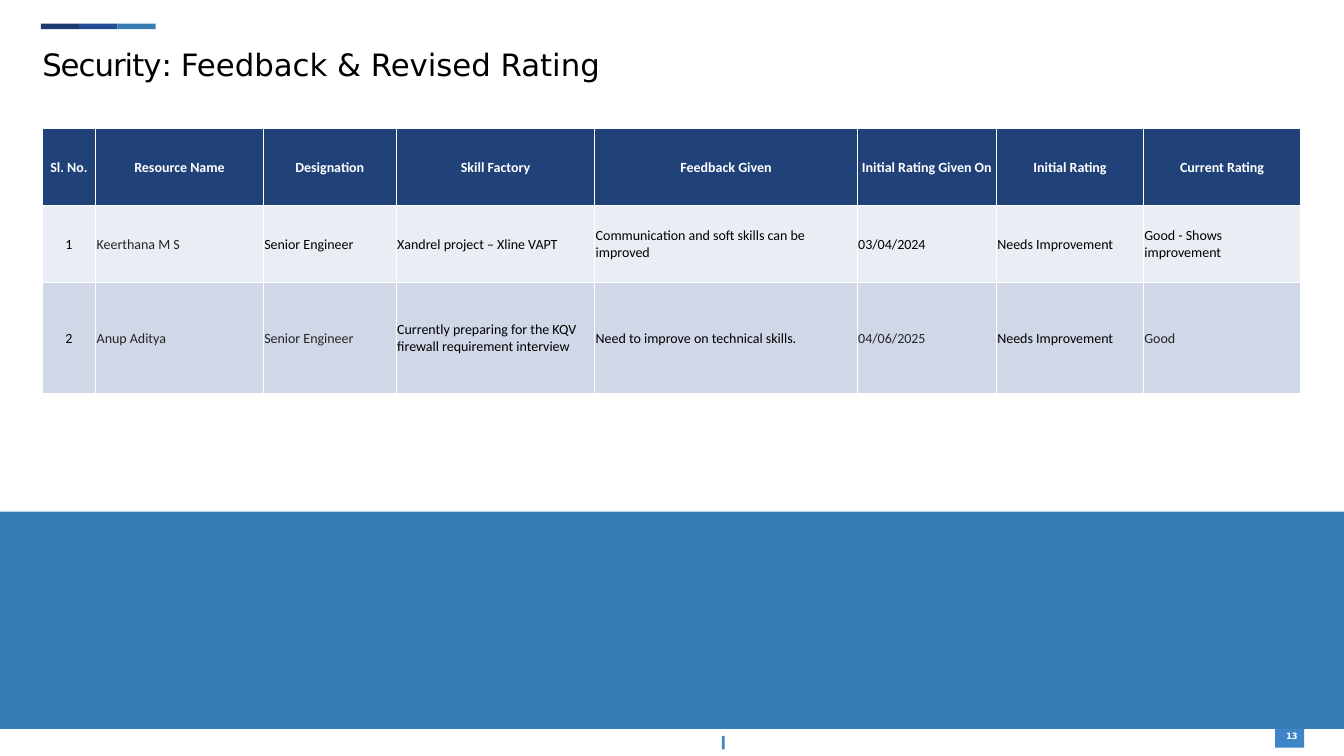
from pptx import Presentation
from pptx.dml.color import RGBColor
from pptx.enum.shapes import MSO_SHAPE as Shape
from pptx.enum.text import MSO_ANCHOR as Anchor, PP_ALIGN as Align
from pptx.oxml import parse_xml
from pptx.oxml.ns import nsdecls
from pptx.util import Pt

HEAD = ["Sl. No.", "Resource Name", "Designation", "Skill Factory", "Feedback Given",
        "Initial Rating Given On", "Initial Rating", "Current Rating"]
ROWS = [
    HEAD,
    ["1", "Keerthana M S", "Senior Engineer", "Xandrel project – Xline VAPT",
     "Communication and soft skills can be improved", "03/04/2024",
     "Needs Improvement", "Good - Shows improvement"],
    ["2", "Anup Aditya", "Senior Engineer",
     "Currently preparing for the KQV firewall requirement interview",
     "Need to improve on technical skills.", "04/06/2025", "Needs Improvement", "Good"],
]
WIDTHS = [38.2, 119.7, 95, 141.8, 187.5, 99.4, 105.1, 112.3]
HEIGHTS = [55.2, 55.2, 79.2]
FILLS = ["204279", "E9EDF4", "D0D8E8"]
GREY = {(1, 1), (2, 1), (2, 2), (2, 5), (2, 7)}


def color(text):
    return RGBColor.from_string(text)


def style(font, name, size, tint, bold=False):
    font.name, font.size, font.bold = name, Pt(size), bold
    font.color.rgb = color(tint)


def bar(slide, left, top, width, height, tint):
    box = slide.shapes.add_shape(Shape.RECTANGLE, Pt(left), Pt(top), Pt(width), Pt(height))
    box.shadow.inherit = False
    box.fill.solid()
    box.fill.fore_color.rgb = color(tint)
    box.line.fill.background()


def space(run, gap):
    run._r.get_or_add_rPr().set("spc", str(gap))


def clear(frame):
    frame.margin_left = frame.margin_right = frame.margin_top = frame.margin_bottom = 0


def accent(slide, left, top, width, height):
    step = width / 3
    for i, tint in enumerate(["1A3B70", "234E95", "367DB3"]):
        bar(slide, left + i * step, top, step, height, tint)


def title(slide, left, top, width, height):
    box = slide.shapes.title
    box.left, box.top, box.width, box.height = Pt(left), Pt(top), Pt(width), Pt(height)
    frame = box.text_frame
    clear(frame)
    frame.vertical_anchor = Anchor.TOP
    para = frame.paragraphs[0]
    para.alignment = Align.LEFT
    style(para.font, "DejaVu Sans", 22, "000000")
    for text, gap in [("Security", -70), (": ", -50), ("Feedback & Revised Rating", 0)]:
        run = para.add_run()
        run.text = text
        space(run, gap)


def border(cell):
    props = cell._tc.get_or_add_tcPr()
    for side in "LRTB":
        props.append(parse_xml(
            f'<a:ln{side} {nsdecls("a")} w="12700"><a:solidFill>'
            f'<a:srgbClr val="FFFFFF"/></a:solidFill></a:ln{side}>'))


def fill(cell, text, row, col):
    border(cell)
    cell.fill.solid()
    cell.fill.fore_color.rgb = color(FILLS[row])
    cell.margin_left = cell.margin_right = cell.margin_top = Pt(0.72)
    cell.margin_bottom = 0
    cell.vertical_anchor = Anchor.MIDDLE
    cell.text = text
    para = cell.text_frame.paragraphs[0]
    para.alignment = Align.CENTER if row == 0 or col == 0 else Align.LEFT
    tint = "FFFFFF" if row == 0 else "252424" if (row, col) in GREY else "000000"
    style(para.font, "Calibri", 10, tint, row == 0)


def ratings(slide, left, top):
    table = slide.shapes.add_table(len(ROWS), len(HEAD), Pt(left), Pt(top),
                                   Pt(sum(WIDTHS)), Pt(sum(HEIGHTS))).table
    for col, width in zip(table.columns, WIDTHS):
        col.width = Pt(width)
    for row, height in zip(table.rows, HEIGHTS):
        row.height = Pt(height)
    for i, row in enumerate(ROWS):
        for j, text in enumerate(row):
            fill(table.cell(i, j), text, i, j)


def footer(slide, left, top, width, height):
    bar(slide, left + 515.6, top + 5, 2, 9.5, "3D85C6")
    bar(slide, left + 910.8, top, 20.8, 13.4, "3D85C6")
    bar(slide, left, top - height, width, height, "367DB3")
    box = slide.shapes.add_textbox(Pt(left + 918.7), Pt(top + 1.1), Pt(11), Pt(10.5))
    frame = box.text_frame
    clear(frame)
    frame.word_wrap = False
    para = frame.paragraphs[0]
    run = para.add_run()
    run.text = "13"
    space(run, -50)
    style(para.font, "DejaVu Sans", 6.2, "FFFFFF", True)


def main():
    deck = Presentation()
    deck.slide_width, deck.slide_height = Pt(960), Pt(540)
    slide = deck.slides.add_slide(deck.slide_layouts[5])
    accent(slide, 29.2, 16.8, 82, 4)
    footer(slide, 0, 520.7, 960, 155.2)
    title(slide, 30.2, 32.4, 888, 34)
    ratings(slide, 30.2, 91.6)
    deck.save("out.pptx")


if __name__ == "__main__":
    main()
